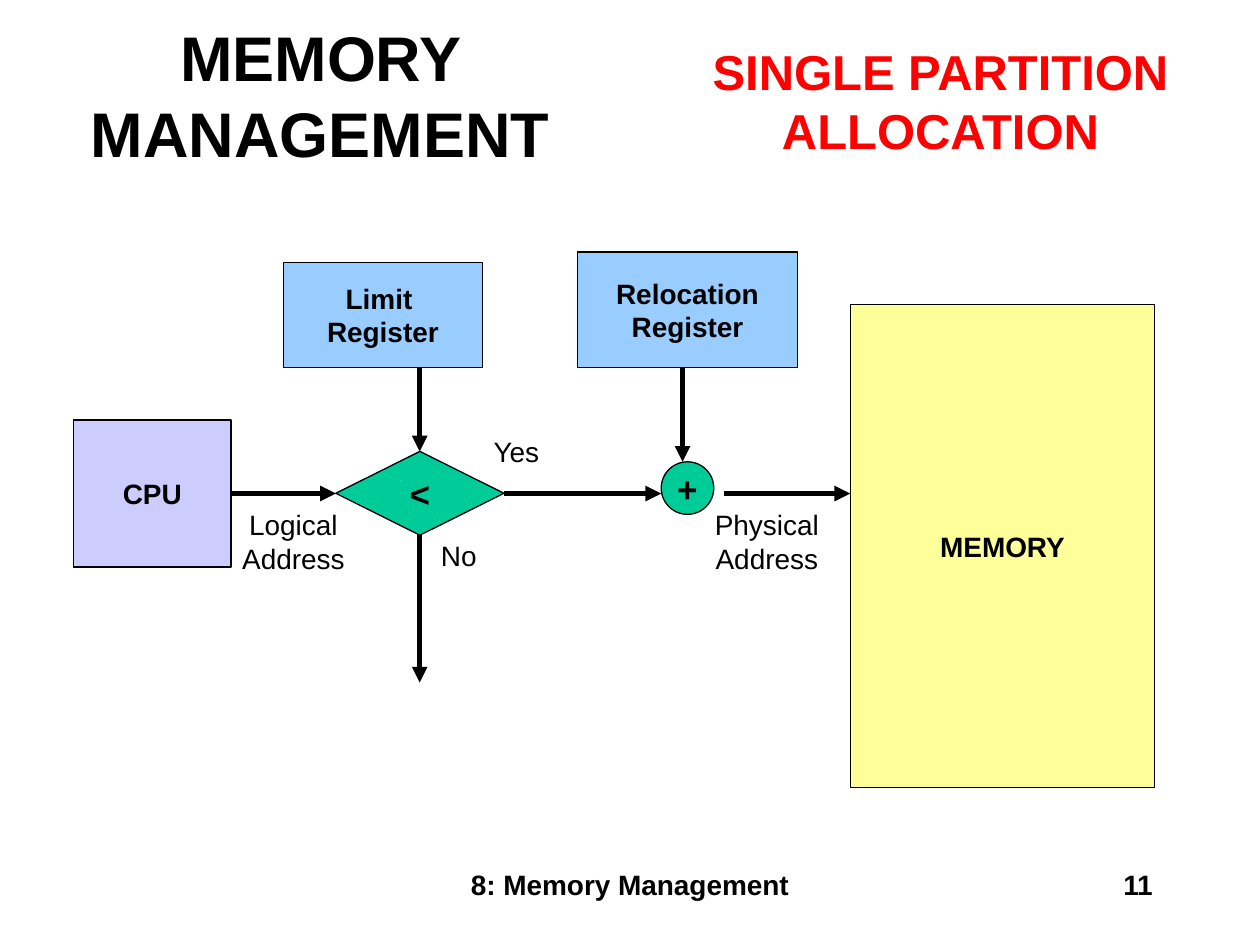
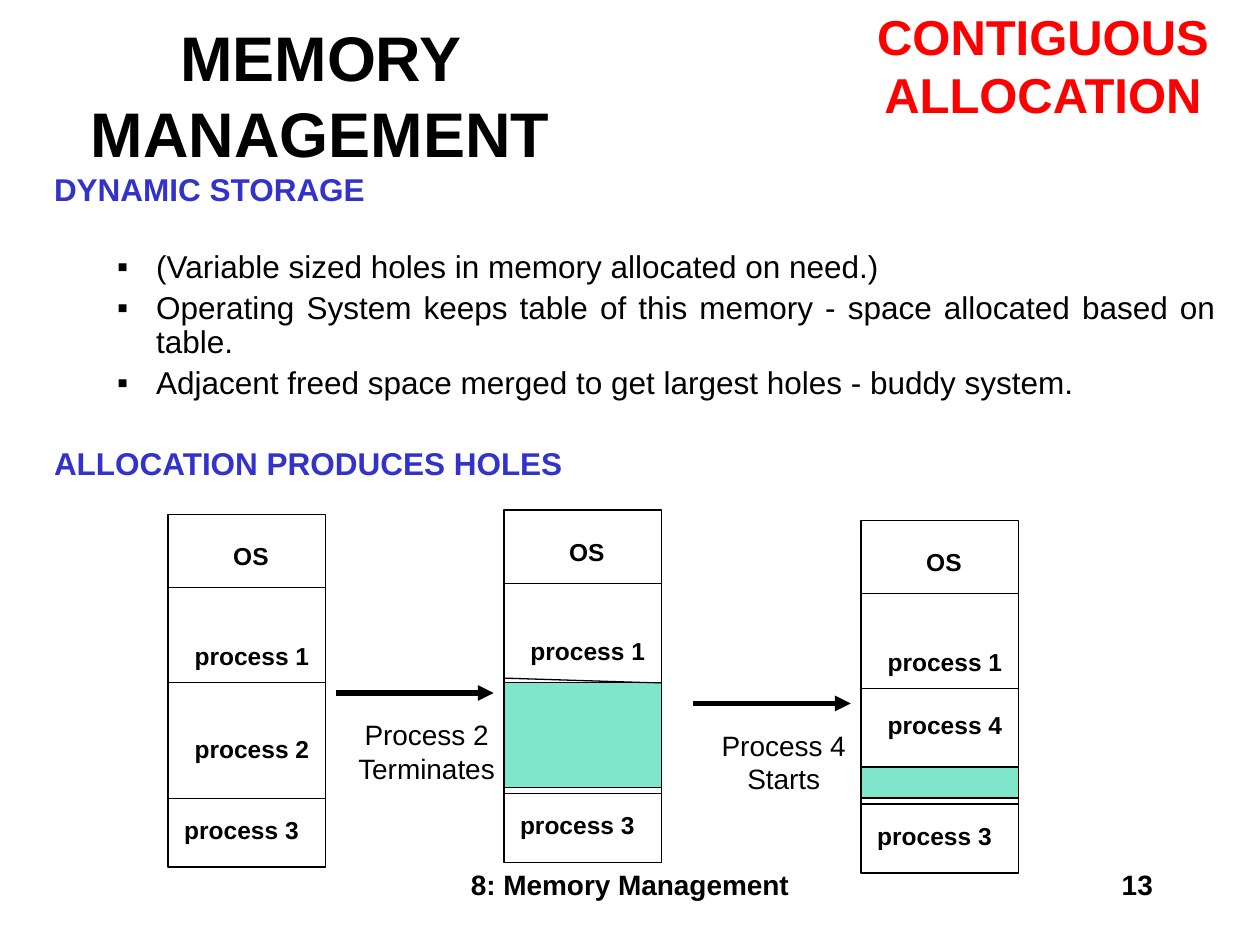
import pptx
import pptx.util
import pptx.dml.color
import pptx.enum.shapes
import pptx.enum.text
import pptx.oxml
import pptx.oxml.ns
from dataclasses import dataclass

Cm, Pt = pptx.util.Cm, pptx.util.Pt
SHAPE = pptx.enum.shapes.MSO_SHAPE
ALIGN = pptx.enum.text.PP_ALIGN
ANCHOR = pptx.enum.text.MSO_ANCHOR
FIT = pptx.enum.text.MSO_AUTO_SIZE


@dataclass(frozen=True)
class Theme:
    font: str = "Arial"
    black: str = "000000"
    white: str = "FFFFFF"
    topic: str = "FF0000"
    heading: str = "3333CC"
    cpu: str = "CCCCFF"
    memory: str = "FFFF99"
    register: str = "99CCFF"
    green: str = "00CC99"
    title_size: int = 36
    topic_size: int = 28
    symbol_size: int = 20
    body_size: int = 18
    label_size: int = 16
    block_size: int = 14
    thin: float = 0.75
    thick: float = 3


T = Theme()


def rgb(value):
    return pptx.dml.color.RGBColor.from_string(value)


def add_xml(parent, tag, attributes=""):
    """Append one empty DrawingML element, e.g. an arrowhead."""
    ns = pptx.oxml.ns.nsdecls("a")
    parent.append(pptx.oxml.parse_xml(f"<a:{tag} {ns} {attributes}/>"))


def format_runs(p, size, color=T.black, bold=False):
    for r in p.runs:
        r.font.name, r.font.size, r.font.bold = T.font, Pt(size), bold
        r.font.color.rgb = rgb(color)


def write(tf, text, size, color=T.black, bold=False, align=ALIGN.CENTER):
    tf.text = text
    for p in tf.paragraphs:
        p.alignment = align
        format_runs(p, size, color, bold)


def add_text(s, box, text, size, wrap=False, anchor=ANCHOR.TOP, grow=True, **style):
    tf = s.shapes.add_textbox(*map(Cm, box)).text_frame
    tf.word_wrap = wrap
    tf.vertical_anchor = anchor
    tf.auto_size = FIT.SHAPE_TO_FIT_TEXT if grow else FIT.NONE
    write(tf, text, size, **style)


def add_block(s, kind, box, fill, text="", size=T.label_size, alpha=None):
    sp = s.shapes.add_shape(kind, *map(Cm, box))
    sp.shadow.inherit = False
    sp.fill.solid()
    sp.fill.fore_color.rgb = rgb(fill)
    if alpha:
        color = sp.fill._xPr.find(".//" + pptx.oxml.ns.qn("a:srgbClr"))
        add_xml(color, "alpha", f'val="{alpha * 1000}"')
    sp.line.color.rgb = rgb(T.black)
    sp.line.width = Pt(T.thin)
    if text:
        tf = sp.text_frame
        tf.word_wrap = False
        tf.vertical_anchor = ANCHOR.MIDDLE
        write(tf, text, size, bold=True)


def add_line(s, x1, y1, x2, y2, arrow=False):
    line = s.shapes.add_connector(
        pptx.enum.shapes.MSO_CONNECTOR.STRAIGHT, *map(Cm, (x1, y1, x2, y2)))
    line.line.color.rgb = rgb(T.black)
    line.line.width = Pt(T.thick if arrow else T.thin)
    if arrow:
        add_xml(line.line._get_or_add_ln(), "tailEnd", 'type="triangle"')
    add_xml(line._element.spPr, "effectLst")


def add_frame(prs, number, topic, topic_box):
    """New slide with the shared title, red topic and footer."""
    s = prs.slides.add_slide(prs.slide_layouts[6])
    add_text(s, (8.68, 17.36, 8.04, 1.27), "8: Memory Management", T.label_size,
             wrap=True, grow=False, bold=True)
    add_text(s, (18.2, 17.36, 5.29, 1.27), str(number), T.label_size,
             wrap=True, grow=False, bold=True, align=ALIGN.RIGHT)
    add_text(s, (0, 0.42, 12.91, 2.96), "MEMORY MANAGEMENT", T.title_size,
             wrap=True, grow=False, anchor=ANCHOR.MIDDLE, bold=True)
    add_text(s, topic_box, topic, T.topic_size, color=T.topic, bold=True)
    return s


def address_check(s, left, top):
    """Flow from the CPU through the limit test and relocation to memory."""
    def at(x, y, w, h):
        return left + x, top + y, w, h

    # Units and registers
    add_block(s, SHAPE.RECTANGLE, at(0, 3.39, 3.18, 2.96), T.cpu, "CPU")
    add_block(s, SHAPE.RECTANGLE, at(15.66, 1.06, 6.14, 9.74), T.memory, "MEMORY")
    add_block(s, SHAPE.RECTANGLE, at(4.23, 0.21, 4.02, 2.12), T.register,
              "Limit \nRegister")
    add_block(s, SHAPE.RECTANGLE, at(10.16, 0, 4.44, 2.33), T.register,
              "Relocation\nRegister")
    add_block(s, SHAPE.OVAL, at(11.85, 4.23, 1.06, 1.06), T.green, "+", T.symbol_size)
    add_block(s, SHAPE.FLOWCHART_DECISION, at(5.29, 4.02, 3.39, 1.69), T.green,
              "<", T.symbol_size)

    # Arrows along the main axis, then downwards
    axis = top + 4.87
    for x1, x2 in ((3.18, 5.29), (8.68, 11.85), (13.12, 15.66)):
        add_line(s, left + x1, axis, left + x2, axis, arrow=True)
    for x, y1, y2 in ((6.98, 5.71, 8.68), (6.98, 2.33, 4.02), (12.28, 2.33, 4.23)):
        add_line(s, left + x, top + y1, left + x, top + y2, arrow=True)

    # Labels on the arrows
    for text, box, align in (
            ("No", (7.16, 5.66, 1.22, 0.94), ALIGN.LEFT),
            ("Logical\nAddress", (3.14, 5.03, 2.59, 1.63), ALIGN.CENTER),
            ("Yes", (8.22, 3.56, 1.47, 0.94), ALIGN.LEFT),
            ("Physical\nAddress", (12.67, 5.03, 2.62, 1.63), ALIGN.CENTER)):
        add_text(s, at(*box), text, T.label_size, align=align)


def storage_notes(s, box):
    """Two headings with the bullets between them."""
    tf = s.shapes.add_textbox(*map(Cm, box)).text_frame
    tf.word_wrap = True
    # Text, whether it is a heading, space before in points
    notes = (
        ("DYNAMIC STORAGE", True, 4),
        ("(Variable sized holes in memory allocated on need.)", False, 24.5),
        ("Operating System keeps table of this memory - space allocated "
         "based on table.", False, 4),
        ("Adjacent freed space merged to get largest holes - buddy system.", False, 4),
        ("ALLOCATION PRODUCES HOLES", True, 27))
    tf.text = "\n".join(text for text, _, _ in notes)
    for p, (_, heading, gap) in zip(tf.paragraphs, notes):
        p.alignment = ALIGN.JUSTIFY
        p.line_spacing = 0.9
        p.space_before = Pt(gap)
        format_runs(p, T.body_size, T.heading if heading else T.black, heading)
        if not heading:
            pPr = p._p.get_or_add_pPr()
            pPr.set("marL", str(Cm(2.06)))
            pPr.set("indent", str(Cm(-0.79)))
            add_xml(pPr, "buFont", 'typeface="Arial"')
            add_xml(pPr, "buChar", 'char="▪"')


def memory_map(s, left, top, second=None, hole=None, slant=0):
    """Memory column; second is (name, y), hole is (y, height)."""
    width, height = 3.18, 7.11
    add_block(s, SHAPE.RECTANGLE, (left, top, width, height), T.white)
    for y, drop in ((1.48, 0), (3.39, slant), (5.72, 0)):
        add_line(s, left, top + y, left + width, top + y + drop)
    if hole:
        add_block(s, SHAPE.RECTANGLE, (left, top + hole[0], width, hole[1]),
                  T.green, alpha=50)
    labels = [("OS", 1.06, 0.42, 1.22), ("process 1", 0.21, 2.42, 2.96),
              ("process 3", 0, 5.93, 2.96)]
    if second:
        labels.append((second[0], 0.21, second[1], 2.96))
    for text, x, y, w in labels:
        add_text(s, (left + x, top + y, w, 0.84), text, T.block_size,
                 wrap=text != "OS", anchor=ANCHOR.MIDDLE, bold=True)


def step_arrow(s, left, top, text, label_width):
    """Arrow between two memory maps with its event underneath."""
    add_line(s, left, top, left + 3.18, top, arrow=True)
    add_text(s, (left + 1.83 - label_width / 2, top + 0.38, label_width, 1.63),
             text, T.label_size)


prs = pptx.Presentation()
prs.slide_width, prs.slide_height = Cm(25.4), Cm(19.05)

# Single partition allocation
s = add_frame(prs, 11, "SINGLE PARTITION\nALLOCATION", (14.07, 0.71, 9.78, 2.62))
address_check(s, 1.48, 5.08)

# Contiguous allocation
s = add_frame(prs, 13, "CONTIGUOUS\nALLOCATION", (17.42, 0, 7.21, 2.62))
storage_notes(s, (0.84, 3.39, 23.92, 5.72))
memory_map(s, 3.39, 10.37, second=("process 2", 4.31))
memory_map(s, 10.16, 10.28, hole=(3.48, 2.12), slant=0.1)
memory_map(s, 17.36, 10.49, second=("process 4", 3.7), hole=(4.97, 0.63))
step_arrow(s, 6.77, 13.97, "Process 2\nTerminates", 3.33)
step_arrow(s, 13.97, 14.18, "Process 4\nStarts", 3.02)

prs.save("out.pptx")
